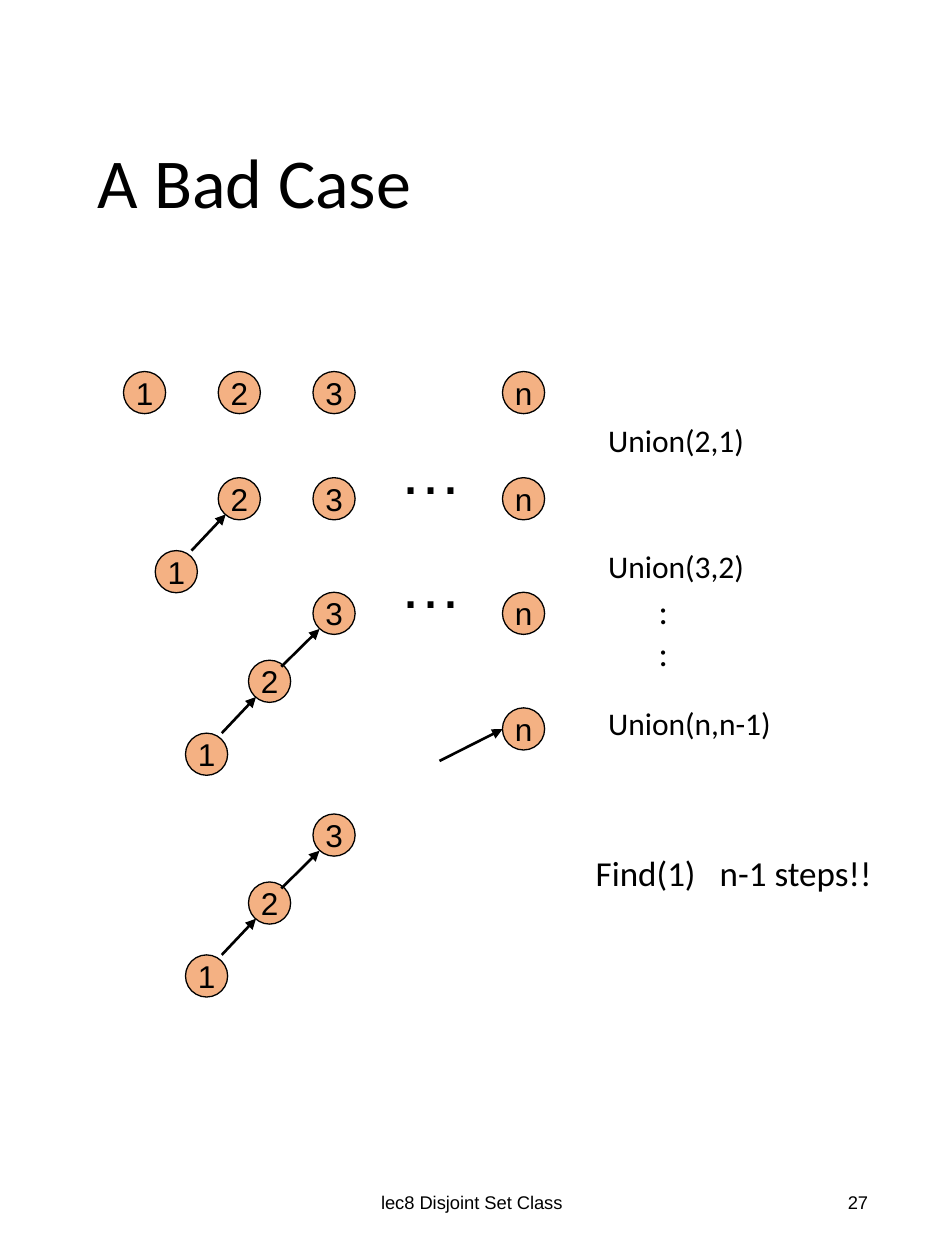
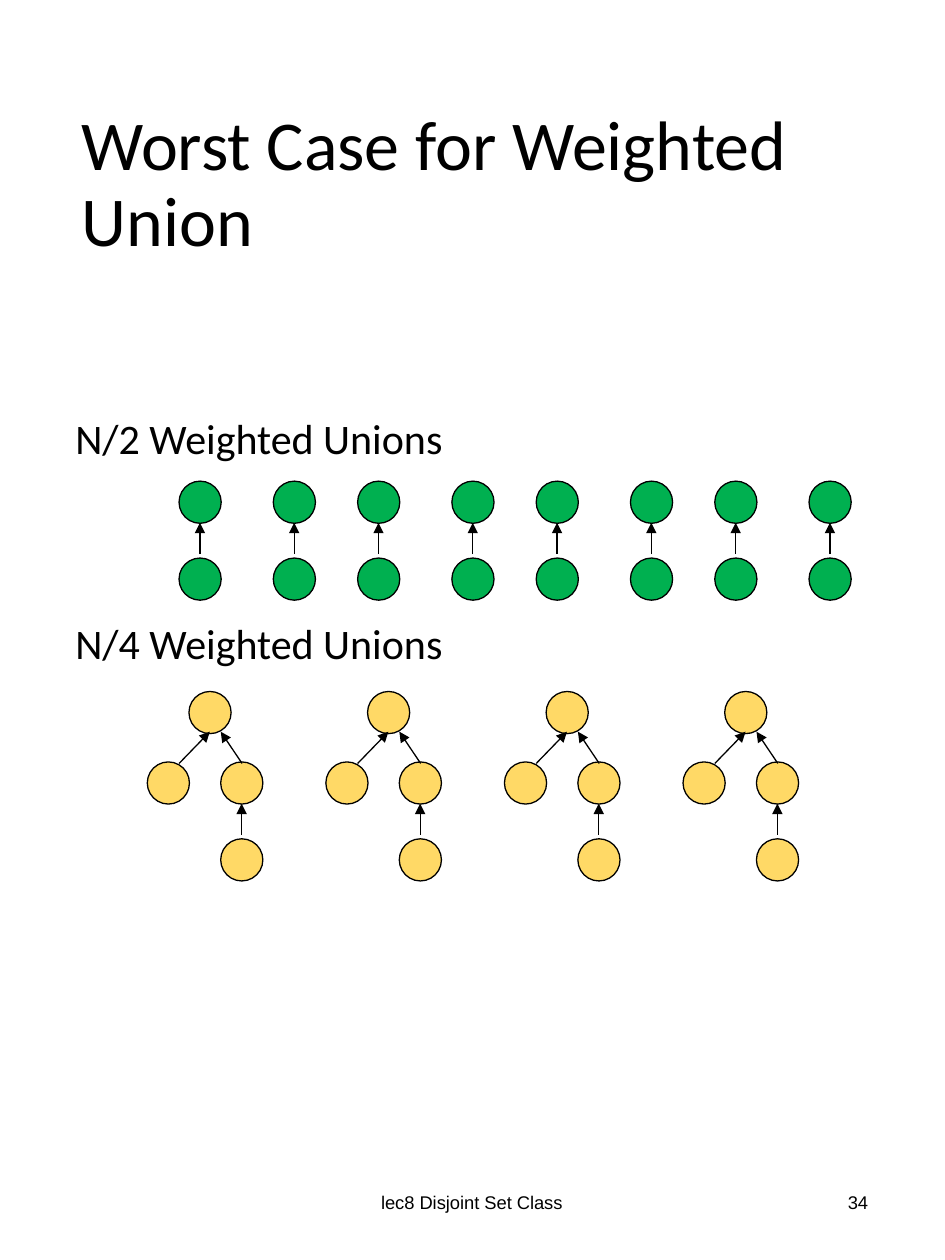
import pptx
import pptx.dml.color
import pptx.enum.shapes
import pptx.enum.text
import pptx.oxml
import pptx.oxml.ns
import pptx.util
from pptx.util import Cm

BLACK = "000000"
ORANGE = "F4B183"
GREEN = "00B050"
YELLOW = "FFD966"
HEAD_FONT = "Calibri"
BODY_FONT = "Arial"
ALIGN = pptx.enum.text.PP_ALIGN
ANCHOR = pptx.enum.text.MSO_ANCHOR
DISC = 0.85  # diameter of a tree node, cm


def color(value):
    return pptx.dml.color.RGBColor.from_string(value)


def element(xml_tag, **attributes):
    item = pptx.oxml.parse_xml(f"<{xml_tag} {pptx.oxml.ns.nsdecls('a')}/>")
    for name, value in attributes.items():
        item.set(name, value)
    return item


def add_span(para, text, size, font):
    span = para.add_run()
    span.text = text
    span.font.size = pptx.util.Pt(size)
    span.font.name = font
    span.font.color.rgb = color(BLACK)


def add_text(page, left, top, width, height, lines, size, font=HEAD_FONT,
             align=ALIGN.LEFT, anchor=ANCHOR.TOP):
    """Add a text box with one paragraph per line and return its frame."""
    box = page.shapes.add_textbox(Cm(left), Cm(top), Cm(width), Cm(height))
    frame = box.text_frame
    frame.word_wrap = True
    frame.vertical_anchor = anchor
    for index, line in enumerate(lines):
        para = frame.add_paragraph() if index else frame.paragraphs[0]
        para.alignment = align
        add_span(para, line, size, font)
    return frame


def add_arrow(page, left, top, start, end, weight):
    """Draw an arrow between two offsets from (left, top)."""
    arrow = page.shapes.add_connector(
        pptx.enum.shapes.MSO_CONNECTOR.STRAIGHT,
        Cm(left + start[0]), Cm(top + start[1]),
        Cm(left + end[0]), Cm(top + end[1]))
    arrow.line.color.rgb = color(BLACK)
    arrow.line.width = pptx.util.Pt(weight)
    arrow.line._get_or_add_ln().append(element("a:tailEnd", type="triangle"))
    arrow._element.spPr.append(element("a:effectLst"))


def add_node(page, left, top, fill, label=None):
    node = page.shapes.add_shape(pptx.enum.shapes.MSO_SHAPE.OVAL,
                                 Cm(left), Cm(top), Cm(DISC), Cm(DISC))
    node.shadow.inherit = False
    node.fill.solid()
    node.fill.fore_color.rgb = color(fill)
    node.line.color.rgb = color(BLACK)
    node.line.width = pptx.util.Pt(0.75)
    if label:
        frame = node.text_frame
        frame.margin_left = frame.margin_right = 0
        frame.margin_top = frame.margin_bottom = 0
        frame.word_wrap = False
        frame.vertical_anchor = ANCHOR.MIDDLE
        frame.paragraphs[0].alignment = ALIGN.CENTER
        add_span(frame.paragraphs[0], label, 18, BODY_FONT)


def add_page(deck, title, number, title_indent=0):
    """Add a slide with the shared footer, page number and title."""
    page = deck.slides.add_slide(deck.slide_layouts[6])
    add_text(page, 6.3, 23.55, 6.43, 1.35, ["lec8 Disjoint Set Class"], 10.5,
             BODY_FONT, ALIGN.CENTER, ANCHOR.MIDDLE)
    add_text(page, 13.46, 23.55, 4.29, 1.35, [str(number)], 10.5,
             BODY_FONT, ALIGN.RIGHT, ANCHOR.MIDDLE)
    frame = add_text(page, 1.4, 1.3, 16.43, 4.9, [title], 40,
                     anchor=ANCHOR.MIDDLE)
    frame.margin_left += Cm(title_indent)
    frame.paragraphs[0].line_spacing = 0.9
    return page


# Trees of the bad case
def add_two_chain(page, left, top):
    """Node 2 at (left, top) with node 1 below it."""
    add_node(page, left, top, ORANGE, "2")
    add_node(page, left - 1.27, top + 1.47, ORANGE, "1")
    add_arrow(page, left, top, (-0.54, 1.47), (0.15, 0.74), 1.5)


def add_three_chain(page, left, top):
    """Node 3 at (left, top) with the chain of 2 and 1 below it."""
    add_node(page, left, top, ORANGE, "3")
    add_two_chain(page, left - 1.3, top + 1.37)
    add_arrow(page, left, top, (-0.64, 1.5), (0.13, 0.74), 1.5)


def add_chain_growth(page, left, top):
    """Each row shows the forest after one more union."""
    column_1, column_2, column_3, _, column_n = [
        left + 1.91 * index for index in range(5)]
    rows = [top + offset for offset in (0, 2.14, 4.45, 6.78, 8.92)]

    # Single nodes
    for row in rows[:4]:
        add_node(page, column_n, row, ORANGE, "n")
    for label, column in (("1", column_1), ("2", column_2), ("3", column_3)):
        add_node(page, column, rows[0], ORANGE, label)
    add_node(page, column_3, rows[1], ORANGE, "3")

    # Joined nodes
    add_two_chain(page, column_2, rows[1])
    add_three_chain(page, column_3, rows[2])
    add_three_chain(page, column_3, rows[4])
    add_arrow(page, column_n, rows[3], (-1.27, 1.07), (0, 0.43), 1.5)

    # Omitted nodes
    for row in rows[1:3]:
        add_text(page, left + 5.31, row - 1.06, 1.78, 1.78, ["…"], 36,
                 BODY_FONT)


def add_union_calls(page, left, top):
    calls = (("Union(2,1)", 0), ("Union(3,2)", 2.54), ("Union(n,n-1)", 5.71))
    for call, offset in calls:
        add_text(page, left + 0.25, top + offset, 4.37, 1.02, [call], 18)
    add_text(page, left + 1.27, top + 3.4, 0.76, 1.96, [":", ":"], 20)

    # Cost of the final find, with the step count at a tab stop
    frame = add_text(page, left, top + 8.68, 6.93, 1.12,
                     ["Find(1)\tn-1 steps!!"], 20)
    stops = element("a:tabLst")
    stops.append(element("a:tab", pos=str(Cm(2.5)), algn="l"))
    frame.paragraphs[0]._p.get_or_add_pPr().append(stops)


# Trees of the weighted union
def add_pair(page, left, top, fill):
    """A node at (left, top) with one child straight below."""
    add_node(page, left, top, fill)
    add_node(page, left, top + 1.55, fill)
    add_arrow(page, left, top, (0.42, 1.47), (0.42, 0.84), 0.75)


def add_four_tree(page, left, top):
    """A root at (left, top) with a single child and a pair."""
    add_node(page, left, top, YELLOW)
    add_node(page, left - 0.84, top + 1.42, YELLOW)
    add_pair(page, left + 0.64, top + 1.42, YELLOW)
    add_arrow(page, left, top, (-0.2, 1.45), (0.42, 0.81), 0.75)
    add_arrow(page, left, top, (1.07, 1.45), (0.64, 0.81), 0.75)


def add_weighted_unions(page, left, top):
    frame = add_text(page, left, top, 9.17, 5.38,
                     ["N/2 Weighted Unions", "N/4 Weighted Unions"], 24)
    frame.paragraphs[1].space_before = pptx.util.Pt(88)
    for group in range(4):
        shift = left + 3.6 * group
        for member in range(2):
            add_pair(page, shift + 2.34 + 1.9 * member, top + 1.5, GREEN)
        add_four_tree(page, shift + 2.54, top + 5.74)


def main():
    deck = pptx.Presentation()
    deck.slide_width, deck.slide_height = Cm(19.05), Cm(25.4)

    bad_case = add_page(deck, "A Bad Case", 27, title_indent=0.32)
    add_chain_growth(bad_case, 2.49, 7.49)
    add_union_calls(bad_case, 11.76, 8.36)

    worst_case = add_page(deck, "Worst Case for Weighted Union", 34)
    add_weighted_unions(worst_case, 1.27, 8.2)

    deck.save("out.pptx")


if __name__ == "__main__":
    main()
